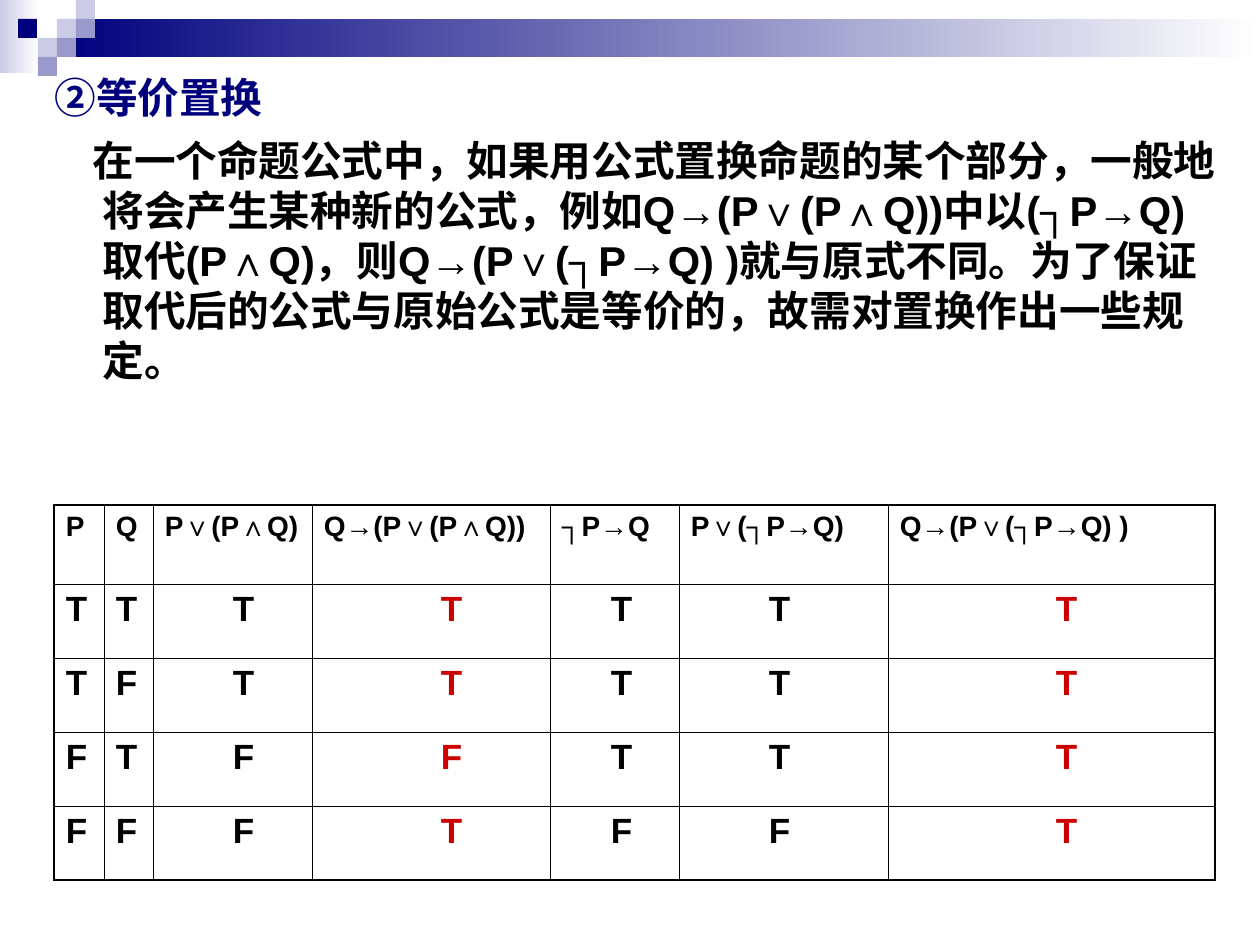
from lxml import etree
from pptx import Presentation
from pptx import util as u
from pptx.dml import color
from pptx.enum import shapes, text
from pptx.oxml import ns

PX = u.Inches(1) / 126
FONT = "Arial"
COLORS = {
    "navy": "00007D",
    "violet": "9999CC",
    "pale": "CCCCE6",
    "white": "FFFFFF",
    "black": "000000",
    "red": "CC0000",
}
SQUARES = [
    (57, 19, "pale"),
    (76, 0, "pale"),
    (76, 19, "violet"),
    (38, 38, "pale"),
    (18, 19, "navy"),
    (57, 38, "violet"),
    (38, 57, "violet"),
]
HEADING = "②等价置换"
BODY = (
    "在一个命题公式中，如果用公式置换命题的某个部分，一般地"
    "将会产生某种新的公式，例如Q→(P∨(P∧Q))中以(┐P→Q)"
    "取代(P∧Q)，则Q→(P∨(┐P→Q) )就与原式不同。为了保"
    "证取代后的公式与原始公式是等价的，故需对置换作出一些规定。"
)
HEADERS = ["P", "Q", "P∨(P∧Q)", "Q→(P∨(P∧Q))", "┐P→Q", "P∨(┐P→Q)", "Q→(P∨(┐P→Q) )"]
VALUES = ["TTTTTTT", "TFTTTTT", "FTFFTTT", "FFFTFFT"]
COL_WIDTHS = [50, 49, 159, 238, 129, 209, 327]
ROW_HEIGHTS = [79, 74, 74, 74, 74]
VALUE_INDENTS = [0, 0, 68, 117, 49, 78, 156]
RED_COLUMNS = (3, 6)


def px(n):
    return u.Emu(round(n * PX))


def rgb(name):
    return color.RGBColor.from_string(COLORS[name])


def add_run(p, content, size, color_name):
    r = p.add_run()
    r.text = content
    r.font.size = u.Pt(size)
    r.font.bold = True
    r.font.name = FONT
    r.font.color.rgb = rgb(color_name)
    ea = etree.SubElement(r.font._element, ns.qn("a:ea"))
    ea.set("typeface", FONT)


def set_indent(p, left, first):
    pPr = p._p.get_or_add_pPr()
    pPr.set("marL", str(px(left)))
    pPr.set("indent", str(px(first)))


def add_rect(s, x, y, w, h, *color_names):
    sp = s.shapes.add_shape(shapes.MSO_SHAPE.RECTANGLE, px(x), px(y), px(w), px(h))
    sp.shadow.inherit = False
    sp.line.fill.background()
    if len(color_names) == 1:
        sp.fill.solid()
        sp.fill.fore_color.rgb = rgb(color_names[0])
    else:
        sp.fill.gradient()
        sp.fill.gradient_angle = 0
        for stop, name in zip(sp.fill.gradient_stops, color_names):
            stop.color.rgb = rgb(name)


def add_banner(s, x, y, w, side):
    add_rect(s, x, y, 39, 73, "pale", "white")
    add_rect(s, x + 3 * side, y + side, w - 3 * side, 2 * side, "navy", "white")
    for dx, dy, name in SQUARES:
        add_rect(s, x + dx, y + dy, side, side, name)


def add_explanation(s, x, y, w, h):
    tf = s.shapes.add_textbox(px(x), px(y), px(w), px(h)).text_frame
    tf.word_wrap = True
    tf.auto_size = text.MSO_AUTO_SIZE.NONE
    heading, body = tf.paragraphs[0], tf.add_paragraph()
    set_indent(heading, 48, -48)
    set_indent(body, 48, -10)
    body.space_before = u.Pt(7)
    for p, content, name in ((heading, HEADING, "navy"), (body, BODY, "black")):
        p.line_spacing = u.Pt(28.6)
        add_run(p, content, 23.8, name)


def set_borders(cell, widths):
    tcPr = cell._tc.get_or_add_tcPr()
    for side, width in widths.items():
        ln = etree.SubElement(tcPr, ns.qn(f"a:ln{side}"), w=str(u.Pt(width)))
        fill = etree.SubElement(ln, ns.qn("a:solidFill"))
        etree.SubElement(fill, ns.qn("a:srgbClr"), val=COLORS["black"])


def add_truth_table(s, x, y):
    rows, cols = len(ROW_HEIGHTS), len(COL_WIDTHS)
    table = s.shapes.add_table(
        rows, cols, px(x), px(y), px(sum(COL_WIDTHS)), px(sum(ROW_HEIGHTS))
    ).table
    table.first_row = False
    table.horz_banding = False
    for col, width in zip(table.columns, COL_WIDTHS):
        col.width = px(width)
    for row, height in zip(table.rows, ROW_HEIGHTS):
        row.height = px(height)
    for i, entries in enumerate([HEADERS, *VALUES]):
        for j, entry in enumerate(entries):
            cell = table.cell(i, j)
            cell.margin_left, cell.margin_right = px(12), px(8)
            cell.margin_top = cell.margin_bottom = px(6)
            outer = {"L": j == 0, "R": j == cols - 1, "T": i == 0, "B": i == rows - 1}
            set_borders(cell, {k: 1.08 if edge else 0.45 for k, edge in outer.items()})
            cell.fill.background()
            p = cell.text_frame.paragraphs[0]
            if i == 0:
                add_run(p, entry, 16, "black")
            else:
                set_indent(p, VALUE_INDENTS[j], 0)
                add_run(p, entry, 20, "red" if j in RED_COLUMNS else "black")


def main():
    prs = Presentation()
    prs.slide_width, prs.slide_height = px(1260), px(945)
    s = prs.slides.add_slide(prs.slide_layouts[6])
    add_banner(s, 0, 0, 1260, 19)
    add_explanation(s, 42, 66, 1193, 348)
    add_truth_table(s, 54, 505)
    prs.save("out.pptx")


if __name__ == "__main__":
    main()
